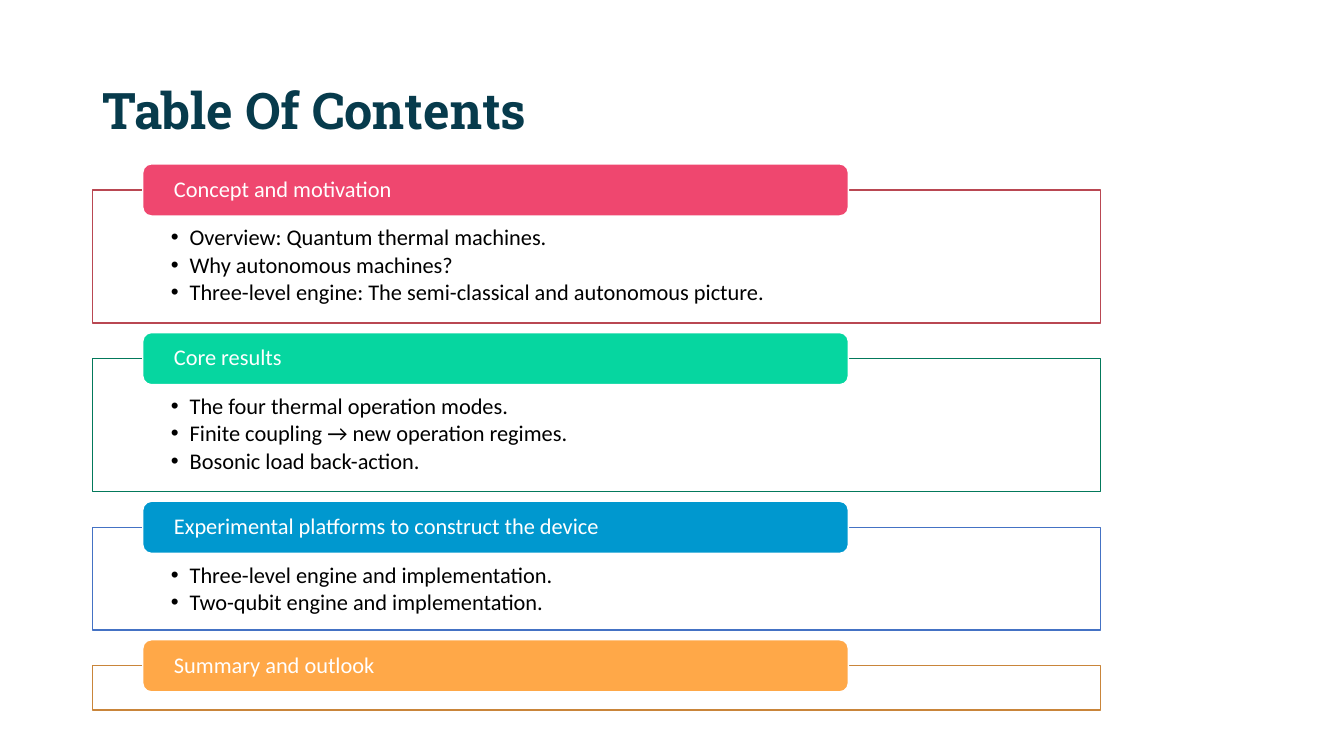
from dataclasses import dataclass

from lxml.etree import SubElement
from pptx import Presentation
from pptx.dml.color import RGBColor
from pptx.enum.shapes import MSO_SHAPE
from pptx.enum.text import MSO_ANCHOR, MSO_AUTO_SIZE, PP_ALIGN
from pptx.oxml.ns import qn
from pptx.util import Pt


@dataclass(frozen=True)
class Theme:
    """Colours, fonts and type sizes of the slide."""
    navy: str = "073B4C"
    white: str = "FFFFFF"
    black: str = "000000"
    pink: str = "EF476F"
    pink_edge: str = "B94752"
    green: str = "06D6A0"
    green_edge: str = "03795B"
    blue: str = "0098CF"
    blue_edge: str = "4472C4"
    orange: str = "FFA848"
    orange_edge: str = "C9853A"
    heading_font: str = "Roboto Slab"
    body_font: str = "Calibri"
    title_size: int = 36
    body_size: int = 16


T = Theme()
TAB_HEIGHT = 37.2
SECTION_GAP = 6.9
SECTIONS = [
    ("Concept and motivation", T.pink, T.pink_edge, 95,
     ["Overview: Quantum thermal machines.", "Why autonomous machines?",
      "Three-level engine: The semi-classical and autonomous picture."]),
    ("Core results", T.green, T.green_edge, 95,
     ["The four thermal operation modes.", "Finite coupling → new operation regimes.",
      "Bosonic load back-action."]),
    ("Experimental platforms to construct the device", T.blue, T.blue_edge, 73.4,
     ["Three-level engine and implementation.", "Two-qubit engine and implementation."]),
    ("Summary and outlook", T.orange, T.orange_edge, 31.7, []),
]


def add_run(p, text, size, color, font, bold=False):
    """Add one formatted run to a left-aligned paragraph."""
    p.alignment = PP_ALIGN.LEFT
    p.line_spacing = 0.9
    r = p.add_run()
    r.text = text
    r.font.size = Pt(size)
    r.font.name = font
    r.font.bold = bold
    r.font.color.rgb = RGBColor.from_string(color)


def add_box(s, kind, box, fill, line, insets, anchor):
    """Add a filled, outlined shape and set up its text frame."""
    sp = s.shapes.add_shape(kind, *map(Pt, box))
    sp.shadow.inherit = False
    sp.fill.solid()
    sp.fill.fore_color.rgb = RGBColor.from_string(fill)
    sp.line.color.rgb = RGBColor.from_string(line)
    sp.line.width = Pt(1)
    tf = sp.text_frame
    tf.word_wrap = True
    tf.vertical_anchor = anchor
    tf.margin_left, tf.margin_top, tf.margin_right, tf.margin_bottom = map(Pt, insets)
    return sp


def add_bullet(p, text):
    """Fill a paragraph as a bulleted item with a hanging indent."""
    p.level = 1
    p.space_after = Pt(2.4)
    add_run(p, text, T.body_size, T.black, T.body_font)
    ppr = p._p.get_or_add_pPr()
    ppr.set("marL", str(Pt(13.5)))
    ppr.set("indent", str(-Pt(13.5)))
    SubElement(ppr, qn("a:buFont")).set("typeface", "Arial")
    SubElement(ppr, qn("a:buChar")).set("char", "•")


def add_title(s, box, text):
    """Place and format the title placeholder."""
    sp = s.shapes.title
    sp.left, sp.top, sp.width, sp.height = map(Pt, box)
    tf = sp.text_frame
    tf.auto_size = MSO_AUTO_SIZE.NONE
    tf.vertical_anchor = MSO_ANCHOR.MIDDLE
    add_run(tf.paragraphs[0], text, T.title_size, T.navy, T.heading_font, bold=True)


def add_section(s, box, heading, fill, edge, items):
    """Draw a framed list with a heading tab centred on its top edge."""
    left, top, width, height = box
    frame = add_box(s, MSO_SHAPE.RECTANGLE, (left, top + TAB_HEIGHT / 2, width, height - TAB_HEIGHT / 2),
                    T.white, edge, (56, 26, 56, 8.5), MSO_ANCHOR.TOP)
    color = frame.fill._xPr.find(qn("a:solidFill"))[0]
    SubElement(color, qn("a:alpha")).set("val", "90000")
    tf = frame.text_frame
    for i, item in enumerate(items):
        add_bullet(tf.add_paragraph() if i else tf.paragraphs[0], item)

    tab = add_box(s, MSO_SHAPE.ROUNDED_RECTANGLE, (left + width * 0.05, top, width * 0.7, TAB_HEIGHT),
                  fill, T.white, (20.5, 0, 20.5, 0), MSO_ANCHOR.MIDDLE)
    add_run(tab.text_frame.paragraphs[0], heading, T.body_size, T.white, T.body_font)


def add_contents(s, box):
    """Stack the sections from the top of the box."""
    left, top, width = box
    for heading, fill, edge, frame_height, items in SECTIONS:
        height = frame_height + TAB_HEIGHT / 2
        add_section(s, (left, top, width, height), heading, fill, edge, items)
        top += height + SECTION_GAP


def main():
    """Build and save the contents slide."""
    prs = Presentation()
    prs.slide_width, prs.slide_height = Pt(960), Pt(540)
    s = prs.slides.add_slide(prs.slide_layouts[5])
    add_title(s, (66, 28.75, 828, 104.4), "Table Of Contents")
    add_contents(s, (66, 117.1, 720))
    prs.save("out.pptx")


if __name__ == "__main__":
    main()
